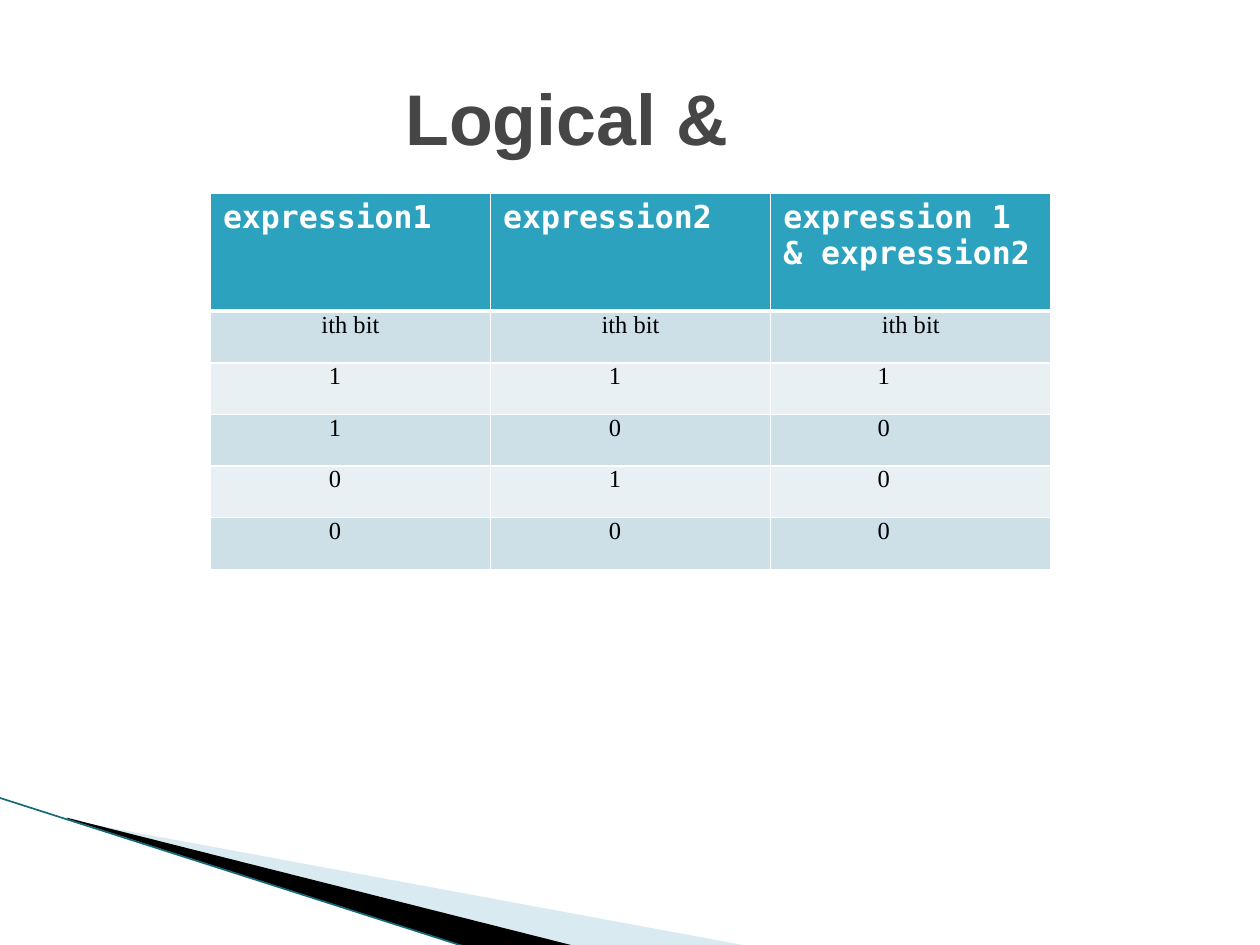
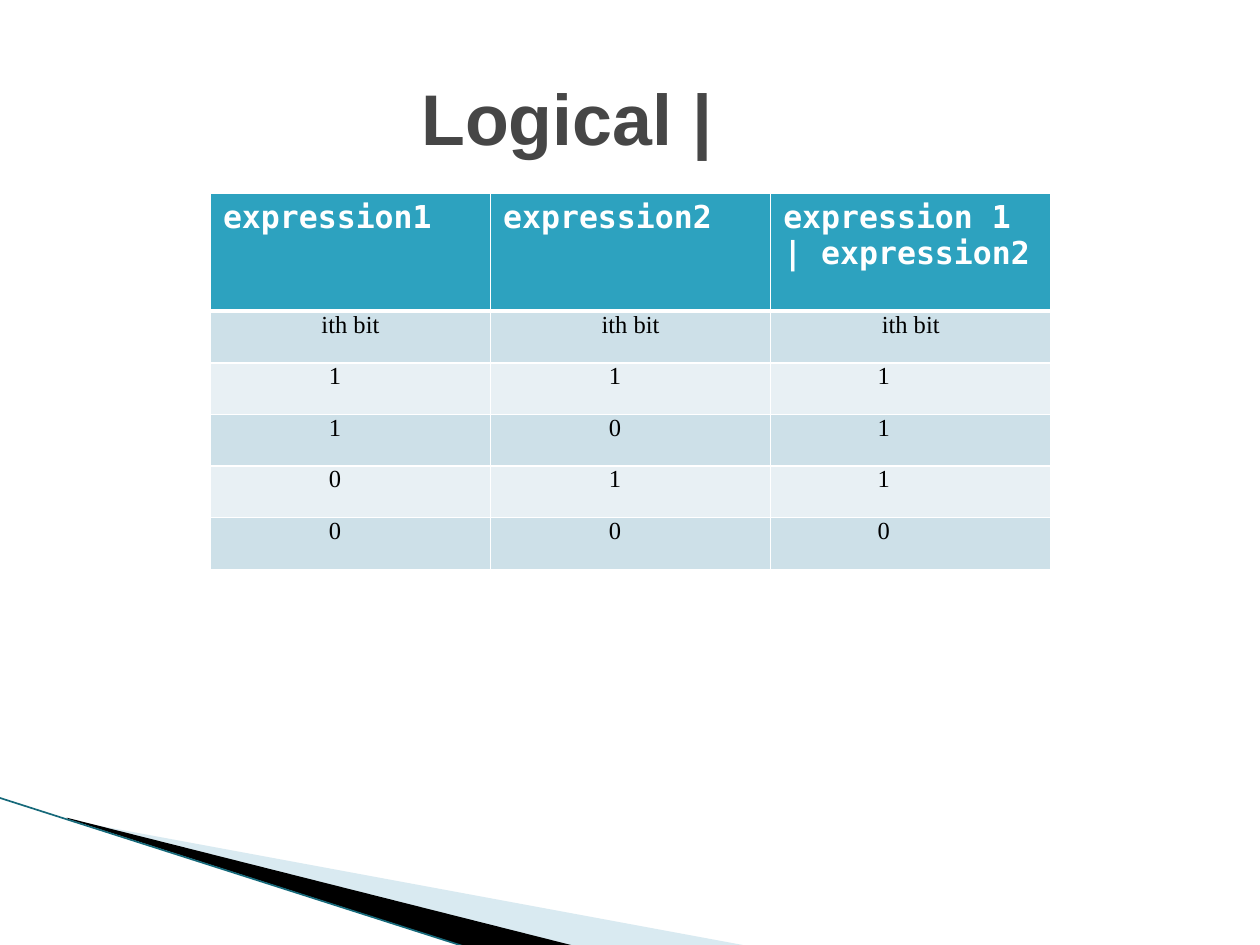
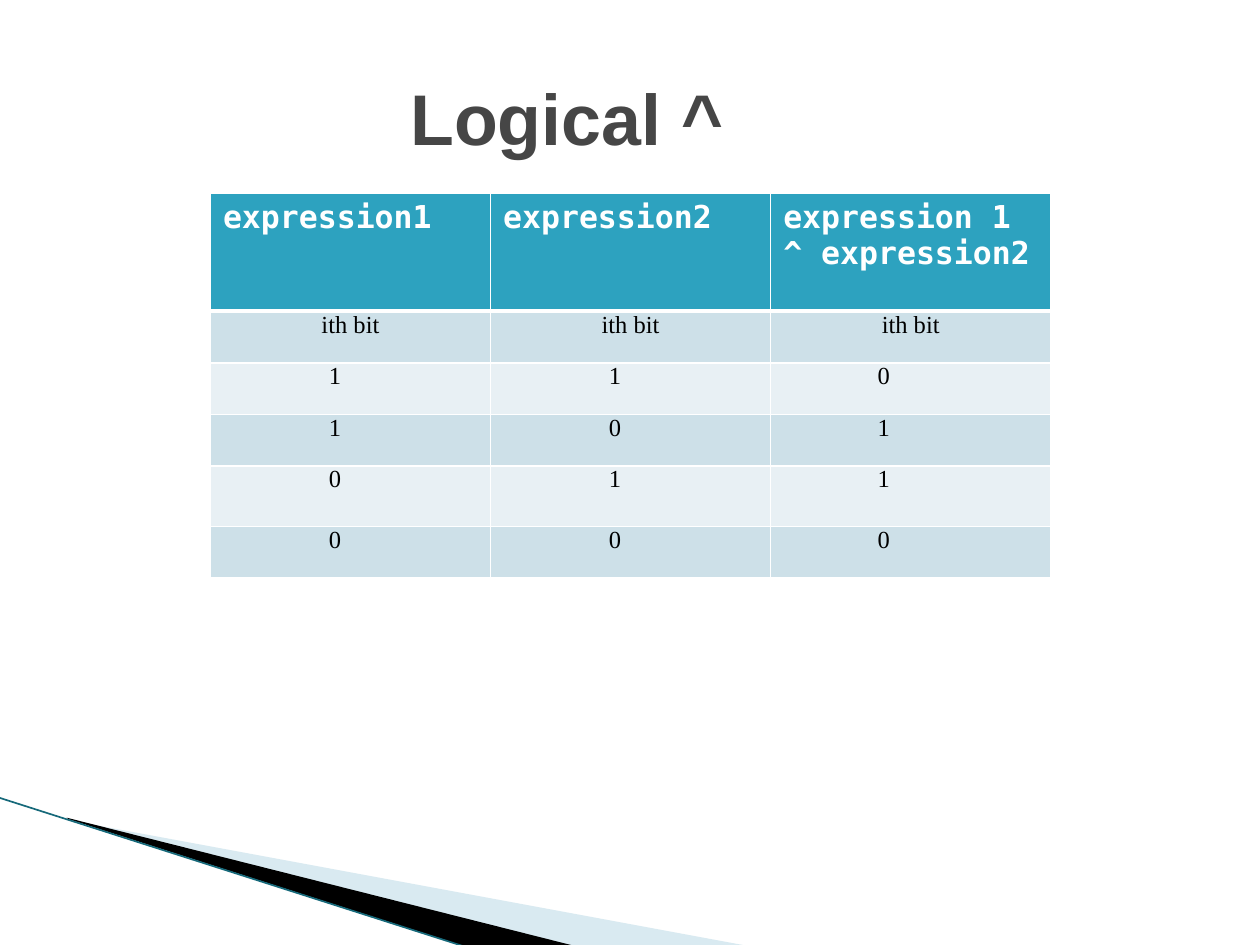
"""Build three slides with the truth tables of the bitwise operators."""
from dataclasses import dataclass
from itertools import product
from typing import Any

from lxml import etree
from pptx import Presentation
from pptx.dml.color import RGBColor
from pptx.enum.shapes import MSO_CONNECTOR
from pptx.enum.text import MSO_ANCHOR, MSO_AUTO_SIZE, PP_ALIGN
from pptx.oxml.ns import qn
from pptx.slide import Slide, SlideLayout
from pptx.table import _Cell
from pptx.util import Inches, Pt

CENTER, LEFT = PP_ALIGN.CENTER, PP_ALIGN.LEFT
MIDDLE = MSO_ANCHOR.MIDDLE
FIXED = MSO_AUTO_SIZE.NONE
STRAIGHT = MSO_CONNECTOR.STRAIGHT

HUES = {
    "title": "464646",
    "head": "2DA2BF",
    "odd": "CDE0E8",
    "even": "E8F0F4",
    "white": "FFFFFF",
    "black": "000000",
    "pale": "A0CBDC",
    "edge": "16697A",
}
FONTS = {
    "title": {"name": "Arial", "size": Pt(41), "bold": True},
    "head": {"name": "DejaVu Sans Mono", "size": Pt(18), "bold": True},
    "body": {"name": "Times New Roman", "size": Pt(14), "bold": False},
}
PLACE = {"left": 0, "top": Inches(0.3), "width": Inches(9), "height": Inches(1.25)}
FRAME = {"vertical_anchor": MIDDLE, "auto_size": FIXED, "word_wrap": True}
INSET = {
    "margin_left": Inches(0.07),
    "margin_right": Inches(0.07),
    "margin_top": 0,
    "margin_bottom": 0,
}
WIDTH = 6.67
HEAD, ROW = 0.94, 0.41
INDENTS = (0.87, 0.87, 0.78)


@dataclass(frozen=True)
class Band:
    """A filled polygon of the corner decoration."""

    points: tuple[tuple[float, float], ...]
    hue: str
    alpha: int = 100


@dataclass(frozen=True)
class Gate:
    """An operator with its results and its row heights."""

    sign: str
    bits: str
    rows: tuple[float, ...] = (HEAD,) + (ROW,) * 5


BANDS = (
    Band(((0.55, 6.51), (5.95, 7.51), (4.56, 7.51), (0.55, 6.5)), "pale", 40),
    Band(((0.53, 6.49), (4.57, 7.51), (3.72, 7.52), (0.54, 6.5)), "black"),
)
GATES = (
    Gate("&", "1000"),
    Gate("|", "1110"),
    Gate("^", "0110", (HEAD, ROW, ROW, ROW, 0.48, ROW)),
)


def apply(item: Any, values: dict[str, Any]) -> None:
    """Set each named attribute of the item."""
    for name, value in values.items():
        setattr(item, name, value)


def paint(fill: Any, hue: str) -> None:
    """Give a fill one solid colour."""
    fill.solid()
    fill.fore_color.rgb = RGBColor.from_string(HUES[hue])


def write(frame: Any, text: str, font: str, hue: str, align: Any) -> None:
    """Fill a text frame with one formatted paragraph."""
    para = frame.paragraphs[0]
    para.alignment = align
    run = para.add_run()
    run.text = text
    apply(run.font, FONTS[font])
    run.font.color.rgb = RGBColor.from_string(HUES[hue])


def border(cell: _Cell, row: int) -> None:
    """Draw white cell borders, heavy below the header."""
    props = cell._tc.get_or_add_tcPr()
    sides = {"lnL": 1, "lnR": 1, "lnT": 3 if row == 1 else 1, "lnB": 1 if row else 3}
    for side, width in sides.items():
        line = etree.SubElement(props, qn(f"a:{side}"), w=str(Pt(width)))
        solid = etree.SubElement(line, qn("a:solidFill"))
        etree.SubElement(solid, qn("a:srgbClr"), val=HUES["white"])


def decorate(slide: Slide, layout: SlideLayout) -> None:
    """Draw the corner bands and hand them to the layout."""
    shapes = []
    for band in BANDS:
        first, *rest = [(Inches(x), Inches(y)) for x, y in band.points]
        maker = slide.shapes.build_freeform(*first)
        maker.add_line_segments(rest, close=True)
        shape = maker.convert_to_shape()
        shape.shadow.inherit = False
        paint(shape.fill, band.hue)
        shape.line.fill.background()
        if band.alpha < 100:
            color = shape.element.spPr.find(f"{qn('a:solidFill')}/{qn('a:srgbClr')}")
            etree.SubElement(color, qn("a:alpha"), val=str(band.alpha * 1000))
        shapes.append(shape)
    ends = [Inches(n) for n in (-0.01, 6.33, 3.71, 7.52)]
    edge = slide.shapes.add_connector(STRAIGHT, *ends)
    edge.line.width = Pt(0.95)
    paint(edge.line.fill, "edge")
    etree.SubElement(edge.element.spPr, qn("a:effectLst"))
    for shape in (*shapes, edge):
        layout.shapes.element.append(shape.element)


def tabulate(slide: Slide, gate: Gate) -> None:
    """Add the truth table of a gate."""
    names = ("expression1", "expression2", f"expression 1 {gate.sign} expression2")
    pairs = product("10", repeat=2)
    data = [names, ("ith bit",) * 3]
    data += [(*pair, bit) for pair, bit in zip(pairs, gate.bits)]
    box = [Inches(n) for n in (1.67, 1.53, WIDTH, sum(gate.rows))]
    table = slide.shapes.add_table(len(data), len(names), *box).table
    for col in table.columns:
        col.width = Inches(WIDTH / len(names))
    for row, (texts, height) in enumerate(zip(data, gate.rows)):
        table.rows[row].height = Inches(height)
        for col, text in enumerate(texts):
            cell = table.cell(row, col)
            border(cell, row)
            if row == 0:
                paint(cell.fill, "head")
                write(cell.text_frame, text, "head", "white", LEFT)
                continue
            apply(cell, INSET)
            paint(cell.fill, "odd" if row % 2 else "even")
            write(cell.text_frame, text, "body", "black", CENTER if row == 1 else LEFT)
            if row > 1:
                props = cell.text_frame.paragraphs[0]._p.get_or_add_pPr()
                props.set("marL", str(Inches(INDENTS[col])))


def main() -> None:
    """Build and save the deck."""
    deck = Presentation()
    apply(deck, {"slide_width": Inches(10), "slide_height": Inches(7.5)})
    layout = deck.slide_layouts[5]
    for index, gate in enumerate(GATES):
        slide = deck.slides.add_slide(layout)
        if index == 0:
            decorate(slide, layout)
        title = slide.shapes.title
        apply(title, PLACE)
        apply(title.text_frame, FRAME)
        write(title.text_frame, f"Logical {gate.sign}", "title", "title", CENTER)
        tabulate(slide, gate)
    deck.save("out.pptx")


main()
